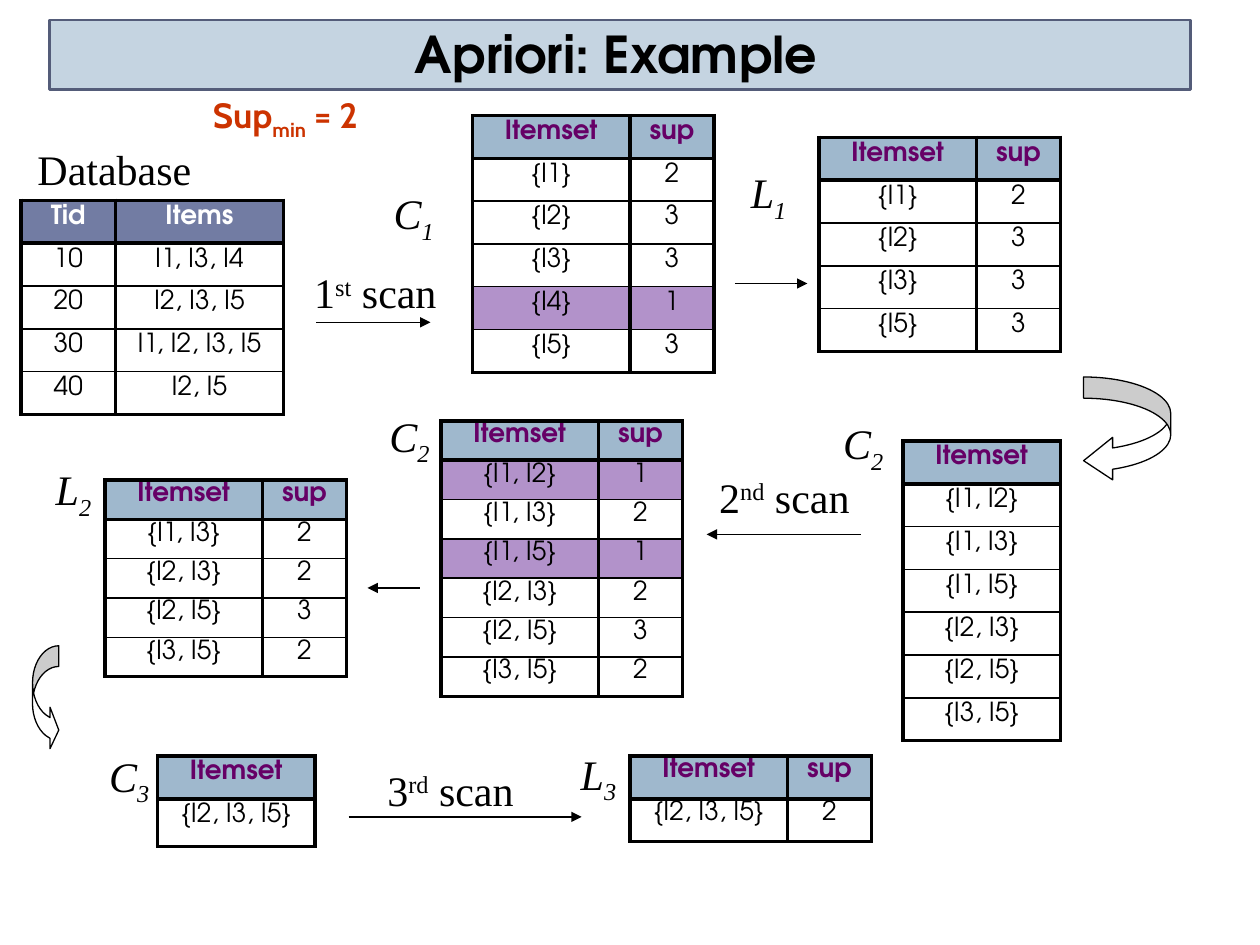
from lxml.etree import SubElement
from pptx import Presentation
from pptx.dml.color import RGBColor
from pptx.enum.shapes import MSO_CONNECTOR, MSO_SHAPE
from pptx.enum.text import MSO_ANCHOR, MSO_AUTO_SIZE, PP_ALIGN
from pptx.oxml.ns import qn
from pptx.util import Inches, Pt

COLORS = {
    "black": "000000", "white": "FFFFFF", "banner": "C5D4E1", "edge": "545C79",
    "tid": "727CA3", "head": "9FB8CD", "pruned": "B292CA",
    "purple": "660066", "red": "CC3300",
}
SANS, SERIF, ACCENT = "TeX Gyre Adventor", "Times New Roman", "Cabin"
SUB, SUP = -25, 30
ROW, TIGHT = 4.08, 3.75          # row heights in grid units
ITEMSET, COUNT = 15, 8           # column widths in grid units
THICK, THIN = 2.25, 1


def grid(n):
    """Grid of 120 columns by 90 rows on a 10 x 7.5 inch slide."""
    return Inches(n / 12)


def box(*units):
    return [grid(n) for n in units]


def rgb(name):
    return RGBColor.from_string(COLORS[name])


def write(tf, runs, size=24, font=SERIF, color="black", bold=False,
          italic=False, align=PP_ALIGN.CENTER, spacing=None, before=None):
    """Fill one paragraph; runs is a string or a list of (text, baseline)."""
    p = tf.paragraphs[0]
    p.alignment = align
    if spacing:
        p.line_spacing = spacing
    if before:
        p.space_before = Pt(before)
    for text, baseline in [(runs, 0)] if isinstance(runs, str) else runs:
        r = p.add_run()
        r.text = text
        r.font.size, r.font.name = Pt(size), font
        r.font.bold, r.font.italic = bold, italic
        r.font.color.rgb = rgb(color)
        if baseline:
            r.font._element.set("baseline", str(baseline * 1000))


def add_text(slide, at, runs, anchor=MSO_ANCHOR.MIDDLE, wrap=False, **fmt):
    tf = slide.shapes.add_textbox(*box(*at)).text_frame
    tf.word_wrap = wrap
    if not wrap:
        tf.auto_size = MSO_AUTO_SIZE.SHAPE_TO_FIT_TEXT
    tf.vertical_anchor = anchor
    write(tf, runs, **fmt)


def add_shape(slide, kind, at, fill, line, width, adjust=()):
    sp = slide.shapes.add_shape(kind, *box(*at))
    sp.shadow.inherit = False
    sp.fill.solid()
    sp.fill.fore_color.rgb = rgb(fill)
    sp.line.color.rgb = rgb(line)
    sp.line.width = Pt(width)
    for i, value in enumerate(adjust):
        sp.adjustments[i] = value


def add_arrow(slide, x1, x2, y):
    line = slide.shapes.add_connector(MSO_CONNECTOR.STRAIGHT, *box(x1, y, x2, y))
    line.line.color.rgb = rgb("black")
    line.line.width = Pt(0.75)
    SubElement(line.line._get_or_add_ln(), qn("a:tailEnd"), type="triangle")
    SubElement(line._element.spPr, qn("a:effectLst"))


def set_borders(cell, top, bottom):
    tcPr = cell._tc.get_or_add_tcPr()
    for side, width in zip("LRTB", (THICK, THICK, top, bottom)):
        ln = SubElement(tcPr, qn(f"a:ln{side}"), w=str(Pt(width)))
        fill = SubElement(ln, qn("a:solidFill"))
        SubElement(fill, qn("a:srgbClr"), val=COLORS["black"])


def add_table(slide, left, top, rows, widths=(ITEMSET, COUNT), heights=ROW,
              spacing=0.9, head=("head", "purple"), pruned=()):
    """First row is the header; pruned lists the rows to highlight."""
    if not isinstance(heights, tuple):
        heights = (heights,) * len(rows)
    at = box(left, top, sum(widths), sum(heights))
    table = slide.shapes.add_table(len(rows), len(widths), *at).table
    table.first_row = table.horz_banding = False
    for column, width in zip(table.columns, widths):
        column.width = grid(width)
    for i, values in enumerate(rows):
        table.rows[i].height = grid(heights[i])
        for cell, value in zip(table.rows[i].cells, values):
            set_borders(cell, THICK if i < 2 else THIN,
                        THICK if i in (0, len(rows) - 1) else THIN)
            fill = head[0] if i == 0 else "pruned" if i in pruned else None
            if fill:
                cell.fill.solid()
                cell.fill.fore_color.rgb = rgb(fill)
            else:
                cell.fill.background()
            write(cell.text_frame, value, size=15, font=SANS, bold=i == 0,
                  color=head[1] if i == 0 else "black",
                  spacing=spacing, before=6)


def itemsets(*pairs):
    """Rows of an itemset table, with a support column if pairs hold counts."""
    return [("Itemset", "sup")[:len(pairs[0])], *pairs]


def main():
    prs = Presentation()
    prs.slide_width, prs.slide_height = Inches(10), Inches(7.5)
    slide = prs.slides.add_slide(prs.slide_layouts[6])

    # Title banner
    add_shape(slide, MSO_SHAPE.RECTANGLE, (4.7, 1.9, 108.7, 6.6),
              "banner", "edge", 1.5)
    add_text(slide, (4.7, 2, 108, 6.6), "Apriori: Example", MSO_ANCHOR.BOTTOM,
             wrap=True, size=29, font=SANS, bold=True)

    # Labels of the database, the scans and the sets
    add_text(slide, (1.9, 13.1, 18, 6), "Database")
    for left, top, width, number, suffix in (
            (28.6, 24.8, 14.3, "1", "st"),
            (67.1, 44.3, 15.2, "2", "nd"),
            (35.5, 72.2, 14.8, "3", "rd")):
        add_text(slide, (left, top, width, 6),
                 [(number, 0), (suffix, SUP), (" scan", 0)])
    for left, top, letter, index in (
            (36.2, 17.6, "C", "1"), (70.2, 15.6, "L", "1"),
            (4, 43.9, "L", "2"), (35.8, 38.8, "C", "2"),
            (79, 39.5, "C", "2"), (9.1, 71.2, "C", "3"),
            (54, 71, "L", "3")):
        add_text(slide, (left, top, 6.4 if letter == "C" else 6, 6),
                 [(letter, 0), (index, SUB)], italic=True)

    # Arrows between the steps
    for x1, x2, y in ((30.1, 41, 30.7), (82, 67.3, 50.9), (33.2, 55.4, 77.8),
                      (70, 76.9, 27), (40, 35, 56)):
        add_arrow(slide, x1, x2, y)
    add_shape(slide, MSO_SHAPE.CURVED_LEFT_ARROW, (103.2, 35.9, 8.3, 10),
              "white", "black", 0.75, (0.244, 0.488, 0.333))
    add_shape(slide, MSO_SHAPE.CURVED_RIGHT_ARROW, (3.1, 61.5, 2.5, 10),
              "white", "black", 0.75, (0.79, 1.58, 0.333))

    # Database
    add_table(slide, 2, 19.08,
              [("Tid", "Items"), ("10", "I1, I3, I4"), ("20", "I2, I3, I5"),
               ("30", "I1, I2, I3, I5"), ("40", "I2, I5")],
              widths=(9, 16), head=("tid", "white"))

    # First scan: C1 and L1
    c1 = [("{I1}", "2"), ("{I2}", "3"), ("{I3}", "3"), ("{I4}", "1"), ("{I5}", "3")]
    add_table(slide, 45, 11, itemsets(*c1), pruned=(4,))
    add_table(slide, 78, 13.08, itemsets(*(row for row in c1 if row[1] != "1")))

    # Second scan: candidates, C2 and L2
    c2 = [("{I1, I2}", "1"), ("{I1, I3}", "2"), ("{I1, I5}", "1"),
          ("{I2, I3}", "2"), ("{I2, I5}", "3"), ("{I3, I5}", "2")]
    add_table(slide, 86, 42, itemsets(*(row[:1] for row in c2)), widths=(ITEMSET,))
    add_table(slide, 42, 40.08, itemsets(*c2), heights=TIGHT, spacing=0.8,
              pruned=(1, 3))
    add_table(slide, 10, 45.72, itemsets(*(row for row in c2 if row[1] != "1")),
              heights=TIGHT, spacing=0.8)

    # Third scan: C3 and L3
    add_table(slide, 15, 72, itemsets(("{I2, I3, I5}",)), widths=(ITEMSET,),
              heights=(ROW, 4.56))
    add_table(slide, 60, 72, itemsets(("{I2, I3, I5}", "2")), spacing=0.8)

    # Minimum support
    add_text(slide, (19.1, 8.3, 23, 5.2), [("Sup", 0), ("min", SUB), (" = 2", 0)],
             MSO_ANCHOR.TOP, wrap=True, size=20, font=ACCENT, color="red",
             bold=True, align=PP_ALIGN.LEFT)

    prs.save("out.pptx")


if __name__ == "__main__":
    main()
